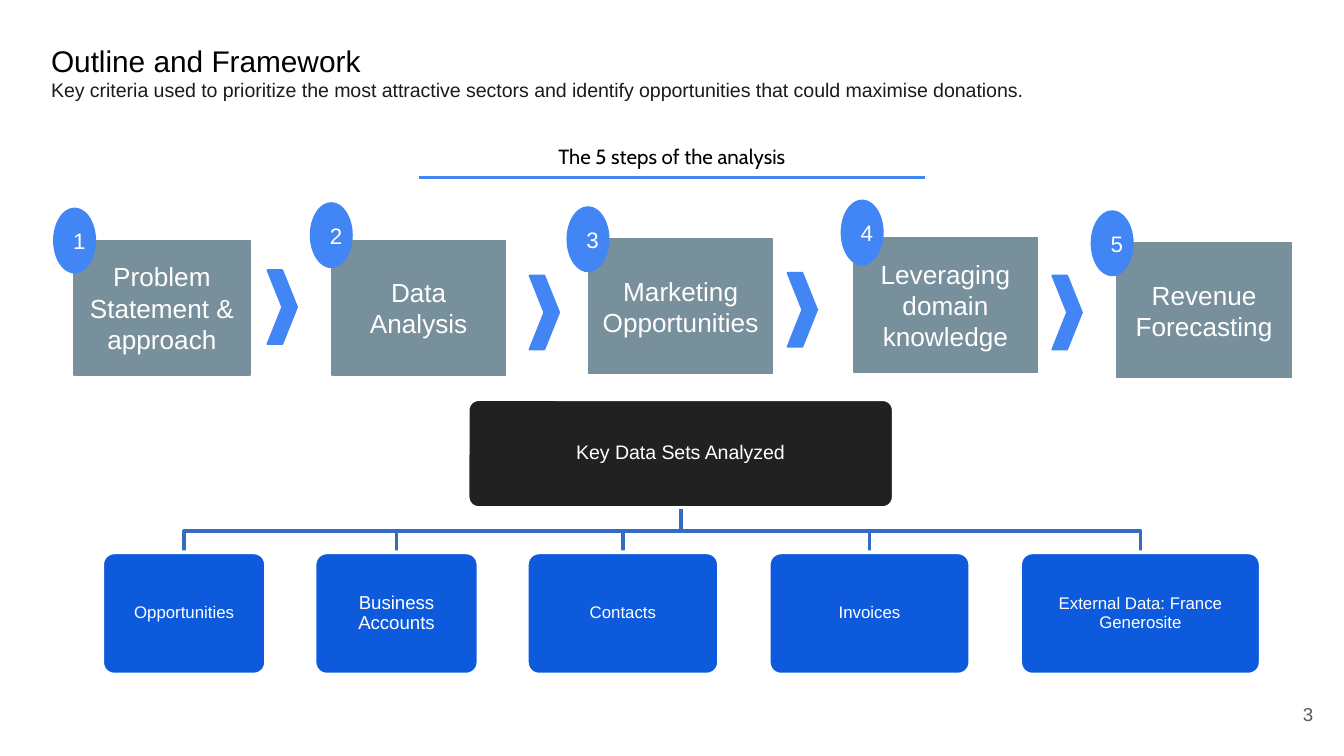
import pptx
import pptx.util
import pptx.dml.color
import pptx.enum.shapes
import pptx.enum.text
import pptx.oxml.ns
from lxml import etree

Inches, Pt = pptx.util.Inches, pptx.util.Pt
RGB = pptx.dml.color.RGBColor.from_string
MSO = pptx.enum.shapes.MSO_SHAPE
ALIGN = pptx.enum.text.PP_ALIGN
C = {"black": "000000", "subtitle": "1B1B1B", "white": "FFFFFF",
     "step": "78909C", "accent": "4285F4", "root": "212121",
     "dataset": "0D5BDC", "branch": "356BC3", "number": "595959"}

# 16:9 slide
prs = pptx.Presentation()
prs.slide_width = Inches(10)
prs.slide_height = Inches(10) * 9 // 16
s = prs.slides.add_slide(prs.slide_layouts[5])


def add_box(kind, x, y, w, h, fill, line, width):
    sp = s.shapes.add_shape(kind, Inches(x), Inches(y), Inches(w), Inches(h))
    sp.shadow.inherit = False
    sp.fill.solid()
    sp.fill.fore_color.rgb = RGB(C[fill])
    sp.line.color.rgb = RGB(C[line])
    sp.line.width = Pt(width)
    return sp


def add_text(sp, runs, align=ALIGN.CENTER, inset=(0.1, 0.05), spacing=None):
    """Each run is (text, size, colour, font); runs are split by line breaks."""
    tf = sp.text_frame
    tf.word_wrap = True
    tf.auto_size = pptx.enum.text.MSO_AUTO_SIZE.NONE
    tf.vertical_anchor = pptx.enum.text.MSO_ANCHOR.MIDDLE
    tf.margin_left = tf.margin_right = Inches(inset[0])
    tf.margin_top = tf.margin_bottom = Inches(inset[1])
    p = tf.paragraphs[0]
    p.alignment = align
    if spacing:
        p.line_spacing = spacing
    for i, (text, size, color, font) in enumerate(runs):
        if i:
            p.add_line_break()
        r = p.add_run()
        r.text = text
        r.font.size = Pt(size)
        r.font.name = font
        r.font.color.rgb = RGB(C[color])


# Title and subtitle
title = s.shapes.title
title.left, title.top = Inches(0.31), Inches(0.19)
title.width, title.height = Inches(9.38), Inches(0.69)
add_text(title, [
    ("Outline and Framework", 16, "black", "Arial"),
    ("Key criteria used to prioritize the most attractive sectors and identify "
     "opportunities that could maximise donations.", 10.5, "subtitle", "Arial"),
], ALIGN.LEFT, (0.07, 0.04))

# Slide number
sp = s.shapes.add_textbox(Inches(9.27), Inches(5.1), Inches(0.6), Inches(0.43))
add_text(sp, [("3", 10, "number", "Arial")], ALIGN.RIGHT, (0.1, 0.1))

# Steps: text, box left, top, width, badge left, top
steps = [
    ("Problem Statement & approach", 0.55, 1.79, 1.31, 0.4, 1.55),
    ("Data Analysis", 2.47, 1.79, 1.29, 2.31, 1.51),
    ("Marketing Opportunities", 4.38, 1.78, 1.37, 4.22, 1.54),
    ("Leveraging domain knowledge", 6.35, 1.77, 1.37, 6.26, 1.49),
    ("Revenue Forecasting", 8.31, 1.81, 1.3, 8.12, 1.57),
]
for n, (text, x, y, w, badge_x, badge_y) in enumerate(steps, 1):
    sp = add_box(MSO.RECTANGLE, x, y, w, 1, "step", "step", 0.75)
    add_text(sp, [(text, 14, "white", "Arial")])
    sp = add_box(MSO.OVAL, badge_x, badge_y, 0.31, 0.48, "accent", "accent", 0.75)
    add_text(sp, [(str(n), 12, "white", "Arial")])

# Chevrons between the steps
for x, y in [(1.99, 2.01), (3.94, 2.05), (5.86, 2.03), (7.83, 2.05)]:
    sp = add_box(MSO.CHEVRON, x, y, 0.22, 0.55, "accent", "accent", 1)
    sp.adjustments[0] = 0.5

# Steps heading with its rule
sp = s.shapes.add_textbox(Inches(3.73), Inches(1.02), Inches(2.54), Inches(0.29))
add_text(sp, [("The 5 steps of the analysis", 11, "black", "Cabin")])
rule = s.shapes.add_connector(pptx.enum.shapes.MSO_CONNECTOR.STRAIGHT,
                              Inches(3.12), Inches(1.32), Inches(6.88), Inches(1.32))
rule.line.color.rgb = RGB(C["accent"])
rule.line.width = Pt(1.5)
etree.SubElement(rule._element.spPr, pptx.oxml.ns.qn("a:effectLst"))

# Root of the data set tree
root_x, root_y, root_w, root_h = 3.48, 2.97, 3.17, 0.81
sp = add_box(MSO.ROUNDED_RECTANGLE, root_x, root_y, root_w, root_h, "root", "white", 2)
sp.adjustments[0] = 0.1
add_text(sp, [("Key Data Sets Analyzed", 10.5, "white", "Arial")], inset=(0.07, 0.05), spacing=0.9)

# Data sets with their branches: text, size, left, width
data_sets = [
    ("Opportunities", 9, 0.76, 1.22),
    ("Business Accounts", 10, 2.34, 1.22),
    ("Contacts", 9, 3.92, 1.43),
    ("Invoices", 9, 5.72, 1.5),
    ("External Data: France Generosite", 9, 7.59, 1.79),
]
trunk_x = root_x + root_w / 2
start_y, fork_y, leaf_y = 3.79, 3.95, 4.11
for text, size, x, w in data_sets:
    leaf_x = x + w / 2
    fb = s.shapes.build_freeform(Inches(trunk_x), Inches(start_y))
    fb.add_line_segments([(Inches(px), Inches(py)) for px, py in
                          [(trunk_x, fork_y), (leaf_x, fork_y), (leaf_x, leaf_y)]], close=False)
    branch = fb.convert_to_shape()
    branch.shadow.inherit = False
    branch.fill.background()
    branch.line.color.rgb = RGB(C["branch"])
    branch.line.width = Pt(2)

    sp = add_box(MSO.ROUNDED_RECTANGLE, x, leaf_y, w, 0.91, "dataset", "white", 2)
    sp.adjustments[0] = 0.1
    add_text(sp, [(text, size, "white", "Arial")], inset=(0.07, 0.04), spacing=0.9)

prs.save("out.pptx")
